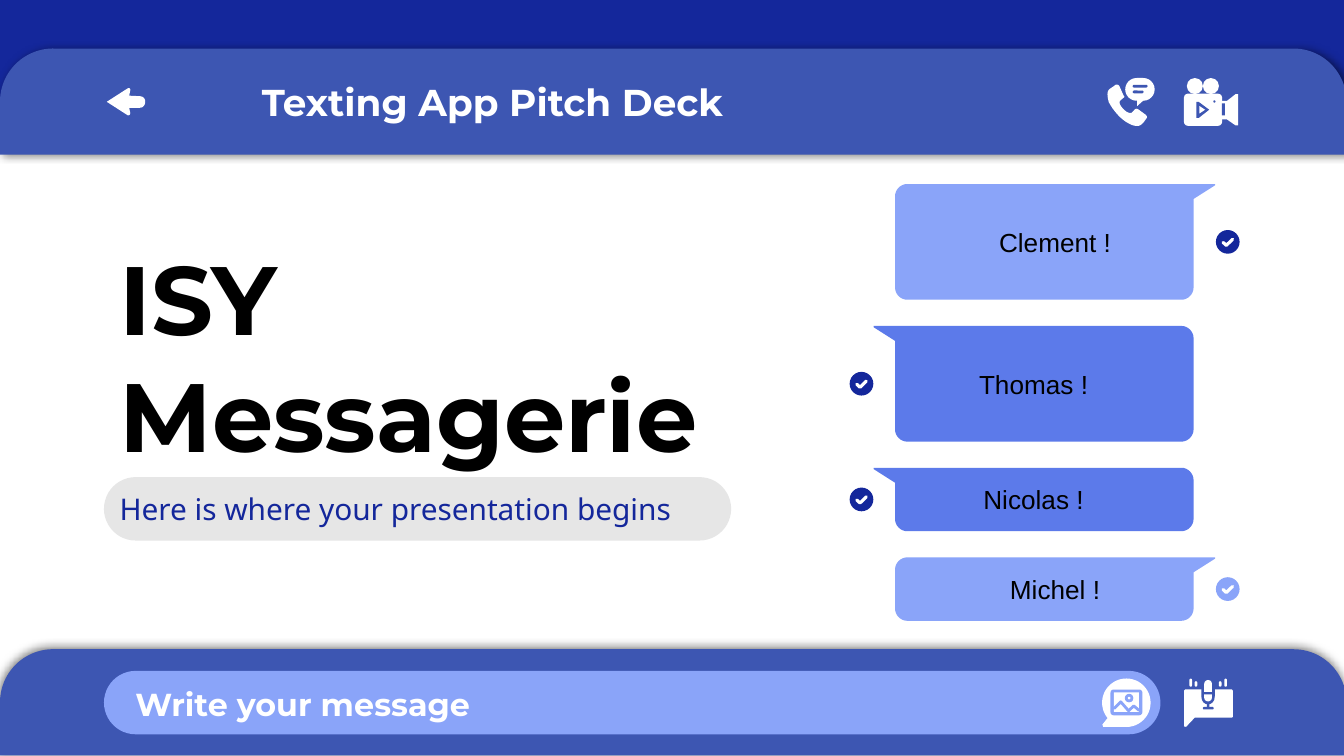
from lxml import etree
from pptx import Presentation
from pptx import util as u
from pptx.dml.color import RGBColor
from pptx.enum import shapes, text
from pptx.oxml.ns import qn

NAVY, BLUE, BRIGHT, PALE = "14279B", "3D56B2", "5C7AEA", "8AA4F9"
WHITE, BLACK, GREY = "FFFFFF", "000000", "E6E6E6"
SHAPE = shapes.MSO_SHAPE
BODY_LEFT, BODY_RIGHT = 479.5, 639.4


def color(hex_string):
    return RGBColor.from_string(hex_string)


def paint(shape, fill):
    shape.shadow.inherit = False
    shape.fill.solid()
    shape.fill.fore_color.rgb = color(fill)
    shape.line.fill.background()
    return shape


def add_shape(slide, kind, box, fill, adjustments=()):
    shape = slide.shapes.add_shape(kind, *[u.Pt(length) for length in box])
    for index, value in enumerate(adjustments):
        shape.adjustments[index] = value
    return paint(shape, fill)


def add_pill(slide, box, fill):
    return add_shape(slide, SHAPE.ROUNDED_RECTANGLE, box, fill, [0.5])


def add_bar(slide, top, shadow_direction):
    bar = add_shape(slide, SHAPE.ROUND_2_SAME_RECTANGLE, (0, top, 721.4, 56.9), BLUE, [0.5, 0])
    effects = bar._element.spPr.find(qn("a:effectLst"))
    shadow = etree.SubElement(effects, qn("a:outerShdw"), blurRad=str(u.Pt(4.5)),
                              dist=str(u.Pt(1.5)), dir=str(shadow_direction * 60000))
    shadow_color = etree.SubElement(shadow, qn("a:srgbClr"), val=BLACK)
    etree.SubElement(shadow_color, qn("a:alpha"), val="50000")


def flatten(steps, samples=8):
    points = [steps[0]]
    for step in steps[1:]:
        if len(step) == 2:
            points.append(step)
            continue
        corners = [points[-1], step[:2], step[2:4], step[4:]]
        for index in range(1, samples + 1):
            t = index / samples
            weights = ((1 - t) ** 3, 3 * t * (1 - t) ** 2, 3 * t * t * (1 - t), t ** 3)
            points.append(tuple(sum(w * corner[axis] for w, corner in zip(weights, corners))
                                for axis in (0, 1)))
    return points


def build_outline(slide, steps, close):
    points = [(u.Pt(x), u.Pt(y)) for x, y in flatten(steps)]
    builder = slide.shapes.build_freeform(*points[0])
    builder.add_line_segments(points[1:], close=close)
    return builder.convert_to_shape()


def add_outline(slide, steps, fill):
    return paint(build_outline(slide, steps, True), fill)


def add_stroke(slide, steps, line, width):
    shape = build_outline(slide, steps, False)
    shape.shadow.inherit = False
    shape.fill.background()
    shape.line.color.rgb = color(line)
    shape.line.width = u.Pt(width)
    shape.line._ln.set("cap", "rnd")


def write(shape, content, size, font_name, fill, bold=False, anchor="TOP", align="LEFT"):
    frame = shape.text_frame
    frame.word_wrap = True
    frame.vertical_anchor = text.MSO_ANCHOR[anchor]
    for side in ("left", "top", "right", "bottom"):
        setattr(frame, f"margin_{side}", u.Pt(7.2))
    paragraph = frame.paragraphs[0]
    paragraph.alignment = text.PP_ALIGN[align]
    run = paragraph.add_run()
    run.text = content
    run.font.size, run.font.name, run.font.bold = u.Pt(size), font_name, bold
    run.font.color.rgb = color(fill)


def add_text(slide, box, *style, **options):
    write(slide.shapes.add_textbox(*[u.Pt(length) for length in box]), *style, **options)


def add_check(slide, left, middle, fill):
    size = 12.7
    add_shape(slide, SHAPE.OVAL, (left, middle - size / 2, size, size), fill)
    center = left + size / 2
    tick = [(-2.5, 0.3), (-0.8, 1.9), (2.6, -1.4)]
    add_stroke(slide, [(center + x, middle + y) for x, y in tick], WHITE, 1.7)


def add_message(slide, name, top, height, on_right, check_fill):
    bottom, radius = top + height, 6.5
    left, right = BODY_LEFT, BODY_RIGHT
    steps = [(left - 11.5, top), (left - 11.5, top + 0.7), (left, top + 8),
             (left, bottom - radius),
             (left, bottom - 3, left + 3, bottom, left + radius, bottom),
             (right - radius, bottom),
             (right - 3, bottom, right, bottom - 3, right, bottom - radius),
             (right, top + radius),
             (right, top + 3, right - 3, top, right - radius, top)]
    if on_right:
        steps = [tuple(left + right - value if index % 2 == 0 else value
                       for index, value in enumerate(step)) for step in steps]
    bubble = add_outline(slide, steps, PALE if on_right else BRIGHT)
    write(bubble, name, 14, "Arial", BLACK, anchor="MIDDLE", align="CENTER")
    add_check(slide, 651.4 if on_right else 455.2, top + height / 2, check_fill)


def add_back_arrow(slide):
    add_outline(slide, [(57.2, 54.6), (68.4, 47.4), (69.4, 46.9, 70, 47.8, 69.8, 48.4),
                        (69.2, 51.3), (75, 51.6), (76.8, 51.7, 77.8, 53, 77.8, 54.4),
                        (77.8, 56, 77, 57.8, 74.8, 57.8), (69.2, 57.8), (69.8, 60.6),
                        (69.8, 61.4, 69.2, 62, 68.4, 61.8)], WHITE)


def add_phone(slide):
    add_outline(slide, [(598.3, 45.4), (597.6, 45.4, 597.6, 45.4, 597, 46), (594.7, 47.5),
                        (592.6, 49, 593.3, 51.8, 594, 54.7),
                        (596.2, 59, 600.5, 64.1, 604.8, 66.2),
                        (606.2, 67, 607.7, 67.5, 609.1, 67.5),
                        (610.6, 67.5, 611.3, 67, 612.7, 65.5), (614.2, 63.4),
                        (614.9, 62.6, 614.2, 61.9, 613.4, 61.2), (609.8, 58.6),
                        (609, 58, 608, 58.3, 607.7, 59), (606.2, 60.5),
                        (604, 61.2, 600.5, 57.6, 599.8, 55.4),
                        (599.8, 54.7, 599.8, 54, 600.5, 53.6), (601.9, 52.4),
                        (602.6, 52, 602.4, 51.6, 601.9, 51.1), (599.8, 46.4),
                        (599.4, 45.6, 599, 45.4, 598.3, 45.4)], WHITE)
    add_pill(slide, (602.8, 41.8, 15.8, 12.2), WHITE)
    add_outline(slide, [(609.1, 53), (609.1, 56.9), (613.5, 53)], WHITE)
    for top, width in ((45.4, 8), (48.5, 5.8)):
        add_pill(slide, (606.8, top, width, 1.5), BLUE)


def add_camera(slide):
    for left in (635.8, 644.4):
        add_shape(slide, SHAPE.OVAL, (left, 41.8, 8.6, 8.6), WHITE)
    add_shape(slide, SHAPE.ROUNDED_RECTANGLE, (634.3, 50.2, 20.4, 17.2), WHITE, [0.12])
    add_outline(slide, [(654.5, 54), (657.4, 54), (662, 50.4), (663.3, 50.4),
                        (663.3, 67.2), (662, 67.2), (657.4, 64), (654.5, 64)], WHITE)
    add_shape(slide, SHAPE.RECTANGLE, (654.6, 55.4, 1.7, 6.5), BLUE)
    add_shape(slide, SHAPE.OVAL, (650, 53.8, 1.2, 1.2), BLUE)
    add_outline(slide, [(641, 54.6), (642.2, 54.6), (647.8, 58.8), (642.2, 63.2), (641, 63.2)], BLUE)
    add_outline(slide, [(642.6, 56.8), (645.6, 58.8), (642.6, 60.8)], WHITE)


def add_picture_icon(slide):
    add_shape(slide, SHAPE.OVAL, (590.4, 363.5, 26, 26), WHITE)
    add_outline(slide, [(593.6, 384.5), (590.6, 388.2), (591, 389.5), (603.4, 389.5)], WHITE)
    add_shape(slide, SHAPE.ROUNDED_RECTANGLE, (594.9, 369.4, 17.1, 13.8), PALE, [0.12])
    add_shape(slide, SHAPE.RECTANGLE, (596.7, 371, 13.5, 10.5), WHITE)
    add_stroke(slide, [(596.9, 379.6), (600.4, 376), (604.6, 380.8), (607.4, 378.2),
                       (610.2, 380.6)], PALE, 1.5)
    add_shape(slide, SHAPE.OVAL, (602.6, 371.7, 4.6, 4.6), PALE)
    add_shape(slide, SHAPE.OVAL, (604.2, 373.3, 1.4, 1.4), WHITE)


def add_microphone(slide):
    for left, top, height in ((637.2, 363.6, 4.3), (640, 365, 2.9),
                              (653, 365, 2.9), (655.9, 363.6, 4.3)):
        add_pill(slide, (left, top, 1.4, height), WHITE)
    add_outline(slide, [(634.9, 369.4), (660, 369.4), (660.4, 370), (660.4, 384),
                        (660, 384.5), (640, 384.5), (635.4, 389.4), (634.3, 389.2),
                        (634.3, 370)], WHITE)
    add_outline(slide, [(643.6, 369), (650.8, 369), (650.8, 373),
                        (650.8, 378.8, 643.6, 378.8, 643.6, 373)], BLUE)
    add_shape(slide, SHAPE.RECTANGLE, (646.5, 377, 1.4, 2.4), BLUE)
    add_pill(slide, (644.4, 378.7, 5.8, 1.4), BLUE)
    add_pill(slide, (645.1, 364.3, 4.2, 11.5), WHITE)
    add_shape(slide, SHAPE.RECTANGLE, (645.1, 370.8, 4.2, 1.2), BLUE)


def main():
    presentation = Presentation()
    presentation.slide_width, presentation.slide_height = u.Pt(720), u.Pt(405)
    slide = presentation.slides.add_slide(presentation.slide_layouts[6])

    add_shape(slide, SHAPE.RECTANGLE, (0, -0.7, 721.4, 73.4), NAVY)
    add_bar(slide, 26, 0)
    add_bar(slide, 347.8, 237)
    add_pill(slide, (55.7, 359.4, 566, 34), PALE)
    add_pill(slide, (55.7, 255.6, 336, 34), GREY)

    add_text(slide, (57, 122.4, 340.6, 137.5), "ISY Messagerie", 52, "Montserrat", BLACK,
             bold=True, anchor="BOTTOM")
    add_text(slide, (57, 255.6, 333.4, 38.9), "Here is where your presentation begins",
             16, "Noto Sans", NAVY)
    add_text(slide, (133.2, 35.3, 268.6, 38.9), "Texting App Pitch Deck", 20, "Montserrat",
             WHITE, bold=True)
    add_text(slide, (65.5, 359.4, 268.6, 34), "Write your message", 17, "Montserrat",
             WHITE, bold=True)

    add_back_arrow(slide)
    add_phone(slide)
    add_camera(slide)
    add_picture_icon(slide)
    add_microphone(slide)

    top, gap = 98.6, 14
    for name, height, on_right, check_fill in (("Clement !", 62, True, NAVY),
                                               ("Thomas !", 62, False, NAVY),
                                               ("Nicolas !", 34, False, NAVY),
                                               ("Michel !", 34, True, PALE)):
        add_message(slide, name, top, height, on_right, check_fill)
        top += height + gap

    presentation.save("out.pptx")


if __name__ == "__main__":
    main()
